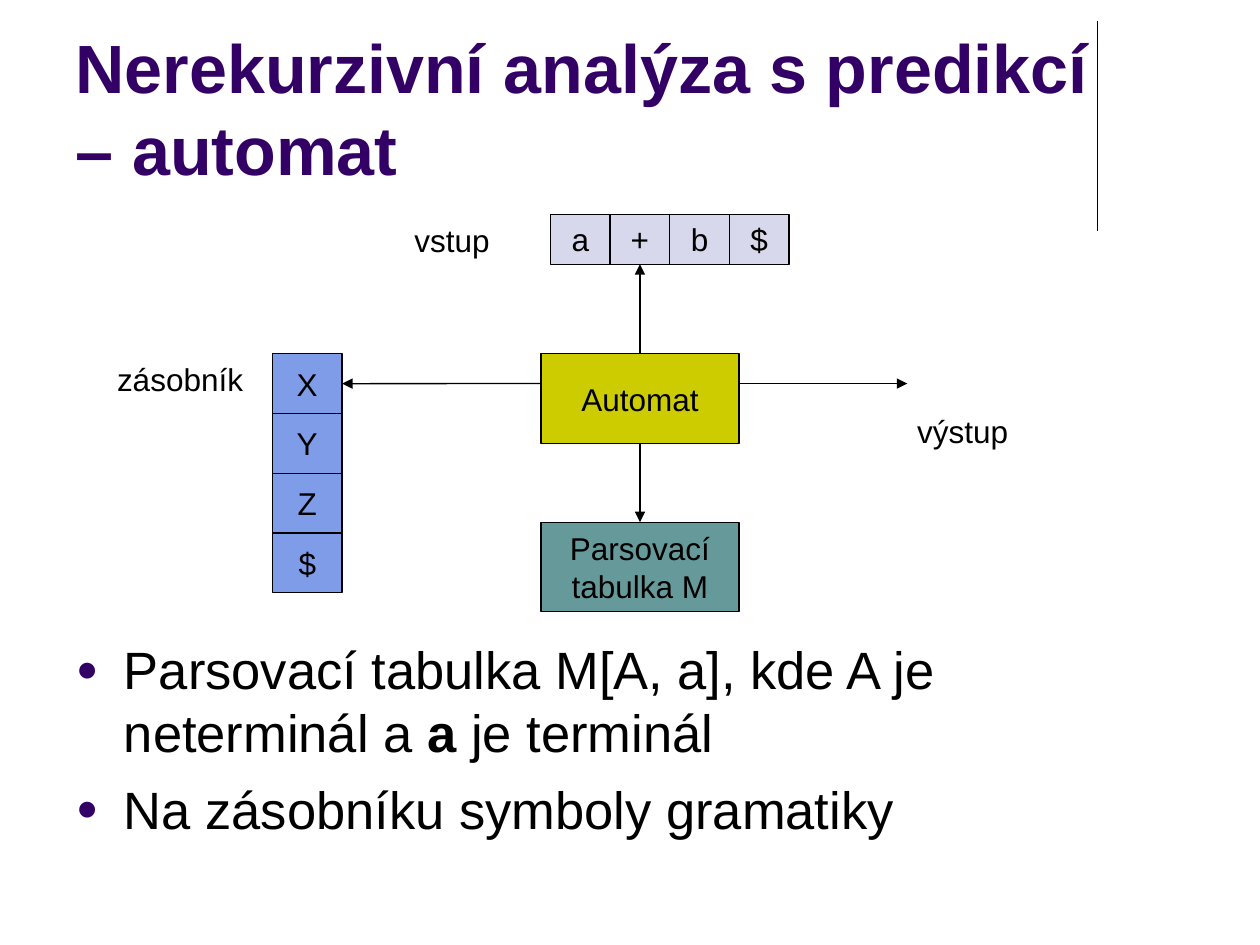
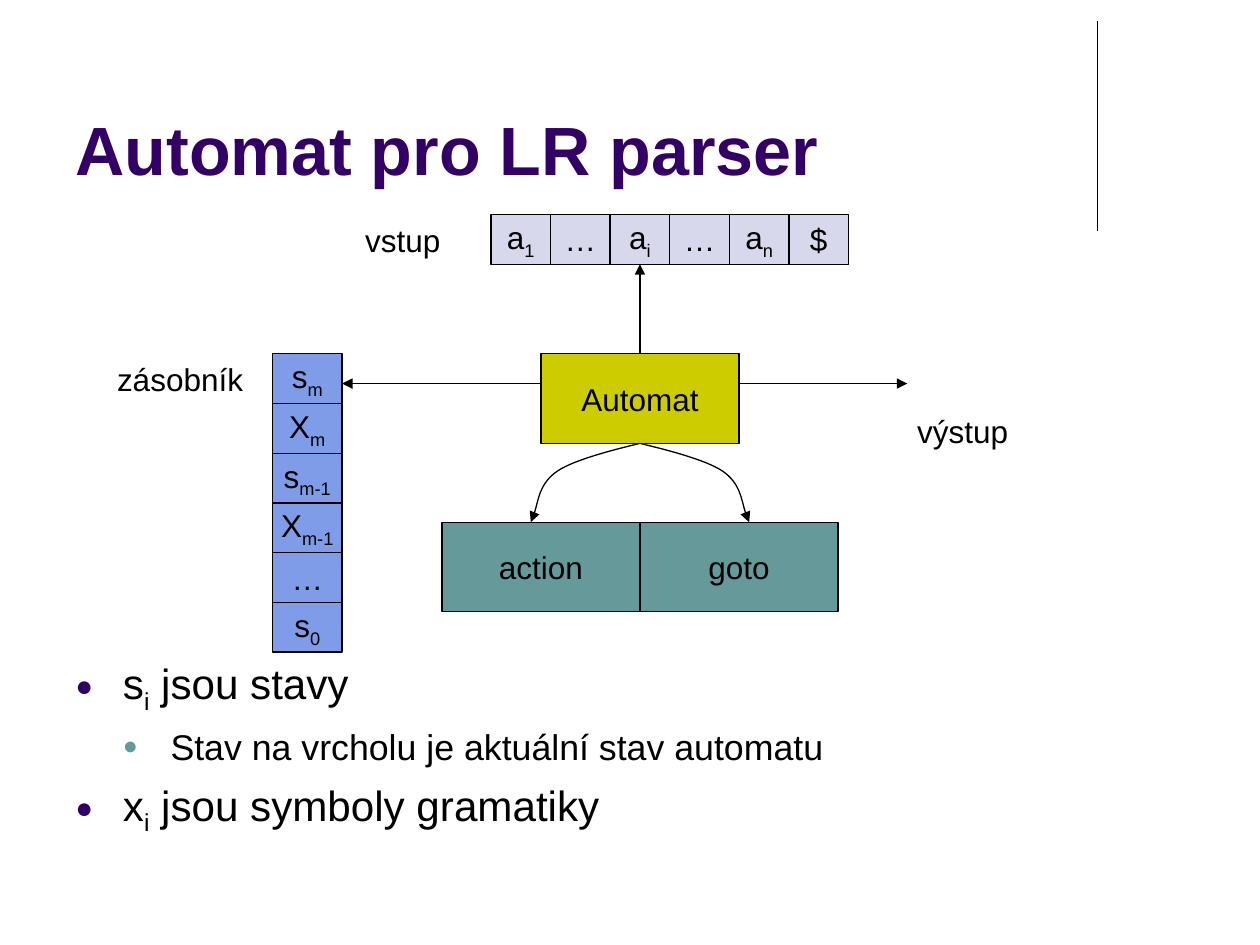
"""Build two slides that compare the automata of a predictive parser and an LR parser."""
from dataclasses import dataclass
from math import isclose

from lxml.etree import SubElement
from pptx import Presentation
from pptx.dml.color import RGBColor
from pptx.enum.shapes import MSO_CONNECTOR, MSO_SHAPE
from pptx.enum.text import MSO_ANCHOR, MSO_AUTO_SIZE, PP_ALIGN
from pptx.oxml.ns import qn
from pptx.util import Pt

SLIDES = [
    {
        "title": "Nerekurzivní analýza s predikcí – automat",
        "input": ["a", "+", "b", "$"],
        "read_index": 1,
        "input_label_left": 229.7,
        "stack": ["X", "Y", "Z", "$"],
        "stack_cell_height": 34.1,
        "tables": ["Parsovací\ntabulka M"],
        "notes_box": (36.5, 360.7, 648, 130.3),
        "notes": [
            (0, 30, 7.5, [("Parsovací tabulka M[A, a], kde A je neterminál a ", ""),
                          ("a", "bold"), (" je terminál", "")]),
            (0, 30, 7.5, [("Na zásobníku symboly gramatiky", "")]),
        ],
    },
    {
        "title": "Automat pro LR parser",
        "input": ["a_1", "…", "a_i", "…", "a_n", "$"],
        "read_index": 2,
        "input_label_left": 201.6,
        "stack": ["s_m", "X_m", "s_m-1", "X_m-1", "…", "s_0"],
        "stack_cell_height": 28.4,
        "tables": ["action", "goto"],
        "notes_box": (36, 372.2, 648, 113.8),
        "notes": [
            (0, 24.1, 6.5, [("s", ""), ("i", "sub"), (" jsou stavy", "")]),
            (1, 20.4, 5.5, [("Stav na vrcholu je aktuální stav automatu", "")]),
            (0, 24.1, 6.5, [("x", ""), ("i", "sub"), (" jsou symboly gramatiky", "")]),
        ],
    },
]
AUTOMATON = "Automat"
INPUT_LABEL = "vstup"
STACK_LABEL = ("zásobník", 59.8, 202.3, 86.4)
OUTPUT_LABEL = ("výstup", 517, 231.8, 66.2)


@dataclass(frozen=True)
class Theme:
    font: str = "Arial"
    ink: str = "000000"
    heading: str = "330066"
    automaton: str = "CCCC00"
    table: str = "669999"
    input: str = "D8D8EC"
    stack: str = "7E9CE8"
    bullets: tuple = ("330066", "669999")
    title_size: float = 39
    label_size: float = 18
    line_width: float = 0.75


THEME = Theme()
CENTER = 365.7
BLOCK_WIDTH, BLOCK_HEIGHT = 113.2, 51.2
AUTOMATON_TOP, TABLE_TOP = 202.2, 298.4
INPUT_TOP, INPUT_WIDTH, INPUT_HEIGHT = 122.6, 34.05, 28.4
STACK_LEFT, STACK_WIDTH = 155.7, 39.8
SIDE_ARROW_Y, OUTPUT_END = 219.2, 518.5
TITLE_BOX = (36, 9.4, 594, 102.2)
RULE = (627, 12.2, 627, 131.8)
LABEL_HEIGHT = 28.8
NOTE_INDENT = 27.2
CURVE = [(0, 0), (8, 2), (36.7, 8.6), (47.3, 15.9), (57.6, 23), (59, 39), (62.4, 45)]
INSETS = {"margin_left": Pt(7.2), "margin_right": Pt(7.2),
          "margin_top": Pt(3.6), "margin_bottom": Pt(3.6)}
BLOCK_FRAME = INSETS | {"word_wrap": False, "vertical_anchor": MSO_ANCHOR.MIDDLE}
LABEL_FRAME = INSETS | {"word_wrap": False, "auto_size": MSO_AUTO_SIZE.SHAPE_TO_FIT_TEXT}
TITLE_FRAME = INSETS | {"word_wrap": True, "vertical_anchor": MSO_ANCHOR.BOTTOM}
NOTES_FRAME = INSETS | {"word_wrap": True}


def apply(target, values):
    for name, value in values.items():
        setattr(target, name, value)


def points(values):
    return [Pt(value) for value in values]


def write_runs(paragraph, runs, size, color=THEME.ink):
    for text, style in runs:
        for row, piece in enumerate(text.split("\n")):
            if row:
                paragraph.add_line_break()
            run = paragraph.add_run()
            run.text = piece
            apply(run.font, {"name": THEME.font, "size": Pt(size), "bold": style == "bold"})
            run.font.color.rgb = RGBColor.from_string(color)
            if style == "sub":
                run.font._element.set("baseline", "-25000")


def symbol_runs(symbol):
    base, _, index = symbol.partition("_")
    return [(base, ""), (index, "sub")] if index else [(base, "")]


def style_line(line, arrow):
    line.color.rgb = RGBColor.from_string(THEME.ink)
    line.width = Pt(THEME.line_width)
    if arrow:
        SubElement(line._get_or_add_ln(), qn("a:tailEnd"), type="triangle")


def add_block(slide, symbol, box, color):
    block = slide.shapes.add_shape(MSO_SHAPE.RECTANGLE, *points(box))
    block.shadow.inherit = False
    block.fill.solid()
    block.fill.fore_color.rgb = RGBColor.from_string(color)
    style_line(block.line, False)
    apply(block.text_frame, BLOCK_FRAME)
    paragraph = block.text_frame.paragraphs[0]
    paragraph.alignment = PP_ALIGN.CENTER
    write_runs(paragraph, symbol_runs(symbol), THEME.label_size)
    return block


def add_text(slide, box, frame_values):
    frame = slide.shapes.add_textbox(*points(box)).text_frame
    apply(frame, frame_values)
    return frame


def add_label(slide, text, left, top, width):
    frame = add_text(slide, (left, top, width, LABEL_HEIGHT), LABEL_FRAME)
    write_runs(frame.paragraphs[0], [(text, "")], THEME.label_size)


def add_line(slide, ends, arrow=True):
    line = slide.shapes.add_connector(MSO_CONNECTOR.STRAIGHT, *points(ends))
    SubElement(line._element.spPr, qn("a:effectLst"))
    style_line(line.line, arrow)
    return line


def add_vertical_arrow(slide, source, source_side, target, target_side):
    arrow = add_line(slide, (CENTER, AUTOMATON_TOP, CENTER, TABLE_TOP))
    arrow.begin_connect(source, source_side)
    arrow.end_connect(target, target_side)


def add_curve(slide, direction):
    outline = [(Pt(CENTER + direction * x), Pt(AUTOMATON_TOP + BLOCK_HEIGHT + y))
               for x, y in CURVE]
    builder = slide.shapes.build_freeform(*outline[0])
    builder.add_line_segments(outline[1:], close=False)
    curve = builder.convert_to_shape()
    curve.shadow.inherit = False
    curve.fill.background()
    style_line(curve.line, True)
    steps = list(curve._element.iter(qn("a:lnTo")))
    for first in range(0, len(steps), 3):
        bezier = SubElement(steps[first].getparent(), qn("a:cubicBezTo"))
        for step in steps[first:first + 3]:
            bezier.append(step[0])
            step.getparent().remove(step)


def add_notes(slide, box, notes):
    frame = add_text(slide, box, NOTES_FRAME)
    for row, (level, size, gap, runs) in enumerate(notes):
        paragraph = frame.add_paragraph() if row else frame.paragraphs[0]
        properties = paragraph._p.get_or_add_pPr()
        properties.set("marL", str(Pt(NOTE_INDENT * (level + 1))))
        properties.set("indent", str(-Pt(NOTE_INDENT)))
        bullet_color = SubElement(properties, qn("a:buClr"))
        SubElement(bullet_color, qn("a:srgbClr"), val=THEME.bullets[level])
        SubElement(properties, qn("a:buSzPct"), val="70000")
        SubElement(properties, qn("a:buFont"), typeface=THEME.font)
        SubElement(properties, qn("a:buChar"), char="●")
        apply(paragraph, {"level": level, "space_before": Pt(gap if row else 0)})
        write_runs(paragraph, runs, size)


def add_diagram(slide, content):
    automaton_left = CENTER - BLOCK_WIDTH / 2
    automaton = add_block(slide, AUTOMATON,
                          (automaton_left, AUTOMATON_TOP, BLOCK_WIDTH, BLOCK_HEIGHT),
                          THEME.automaton)

    tables_left = CENTER - len(content["tables"]) * BLOCK_WIDTH / 2
    tables = [add_block(slide, name, (tables_left + column * BLOCK_WIDTH, TABLE_TOP,
                                      BLOCK_WIDTH, BLOCK_HEIGHT), THEME.table)
              for column, name in enumerate(content["tables"])]

    input_left = CENTER - (content["read_index"] + 0.5) * INPUT_WIDTH
    tape = [add_block(slide, symbol, (input_left + column * INPUT_WIDTH, INPUT_TOP,
                                      INPUT_WIDTH, INPUT_HEIGHT), THEME.input)
            for column, symbol in enumerate(content["input"])]

    height = content["stack_cell_height"]
    stack = [add_block(slide, symbol, (STACK_LEFT, AUTOMATON_TOP + row * height,
                                       STACK_WIDTH, height), THEME.stack)
             for row, symbol in enumerate(content["stack"])]

    add_vertical_arrow(slide, automaton, 0, tape[content["read_index"]], 2)
    if len(tables) == 1:
        add_vertical_arrow(slide, automaton, 2, tables[0], 0)
    else:
        for direction in (-1, 1):
            add_curve(slide, direction)

    stack_arrow = add_line(slide, (automaton_left, SIDE_ARROW_Y,
                                   STACK_LEFT + STACK_WIDTH, SIDE_ARROW_Y))
    if isclose(AUTOMATON_TOP + height / 2, SIDE_ARROW_Y, abs_tol=0.1):
        stack_arrow.end_connect(stack[0], 3)
    add_line(slide, (automaton_left + BLOCK_WIDTH, SIDE_ARROW_Y, OUTPUT_END, SIDE_ARROW_Y))

    add_label(slide, *OUTPUT_LABEL)
    add_label(slide, INPUT_LABEL, content["input_label_left"], INPUT_TOP, 57.6)
    add_label(slide, *STACK_LABEL)


def main():
    presentation = Presentation()
    apply(presentation, {"slide_width": Pt(720), "slide_height": Pt(540)})
    for content in SLIDES:
        slide = presentation.slides.add_slide(presentation.slide_layouts[6])
        add_line(slide, RULE, arrow=False)
        title = add_text(slide, TITLE_BOX, TITLE_FRAME)
        write_runs(title.paragraphs[0], [(content["title"], "bold")],
                   THEME.title_size, THEME.heading)
        add_notes(slide, content["notes_box"], content["notes"])
        add_diagram(slide, content)
    presentation.save("out.pptx")


if __name__ == "__main__":
    main()
